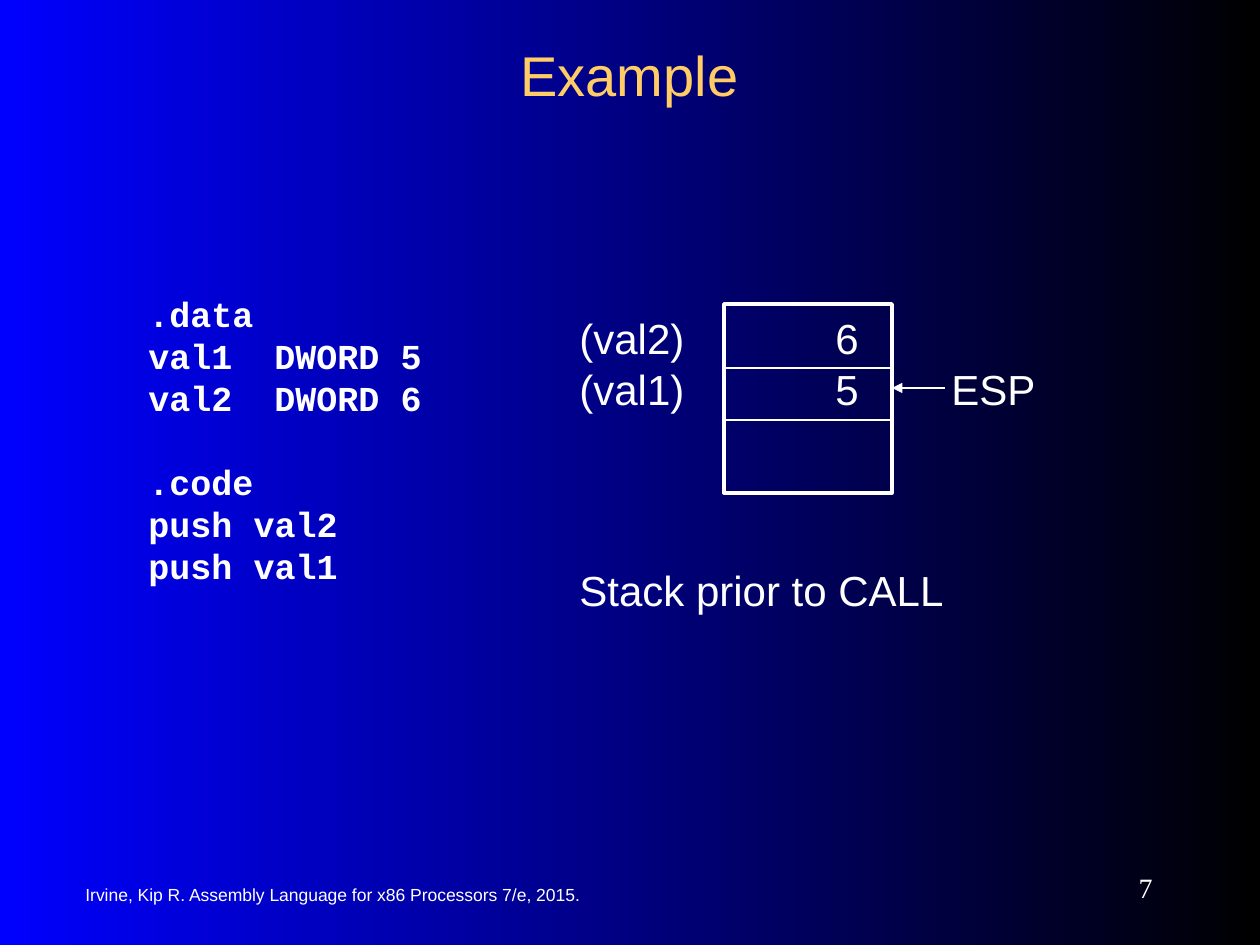
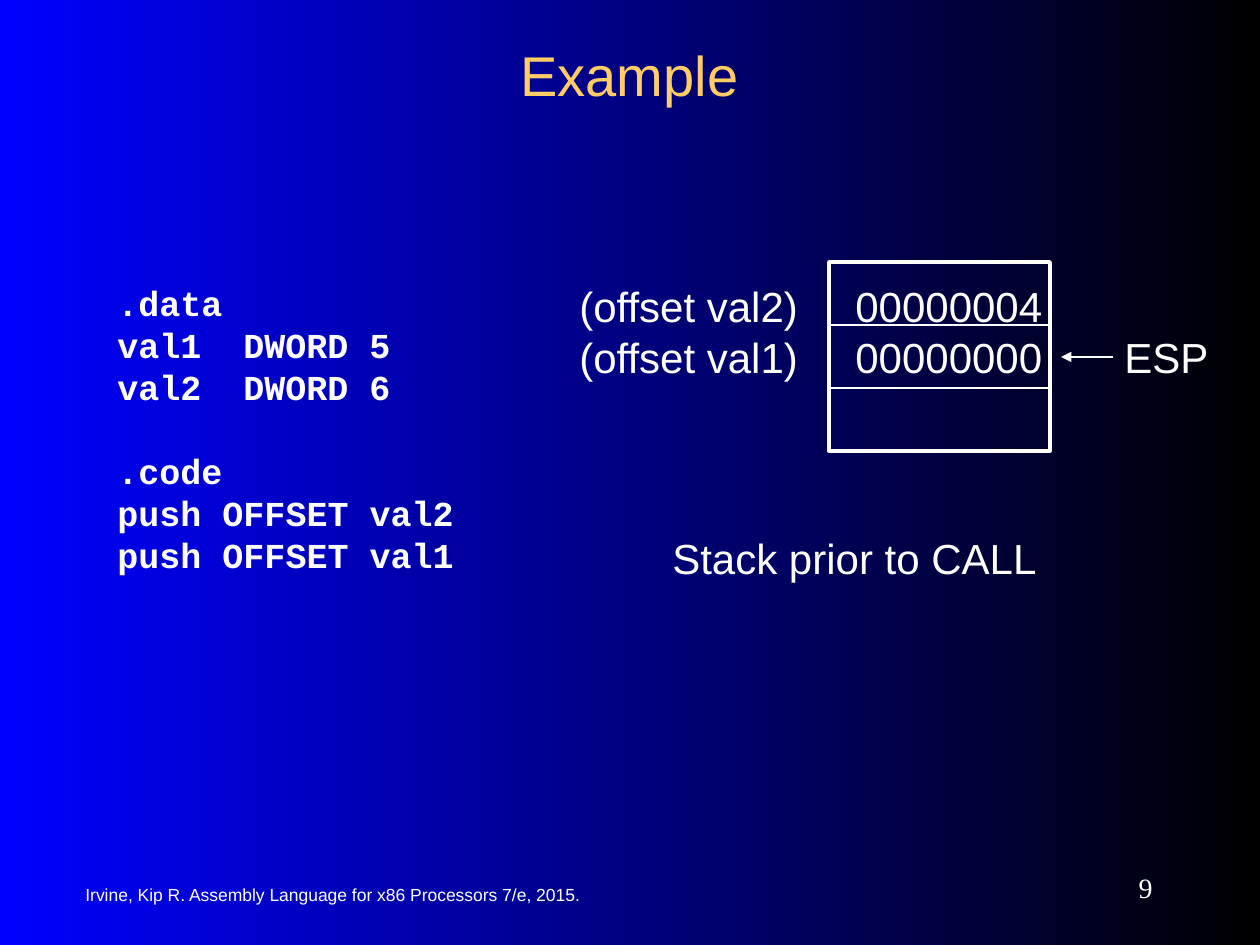
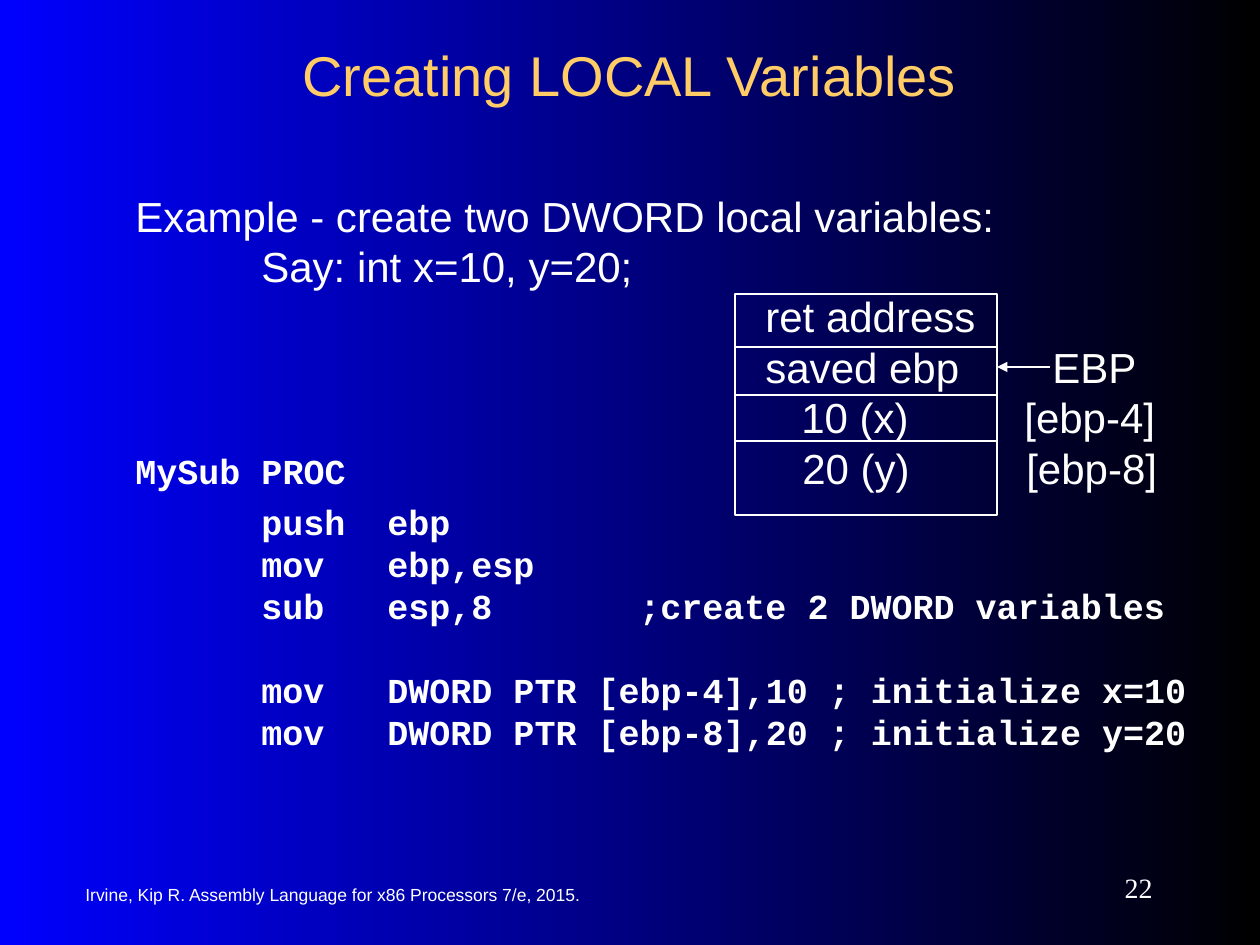
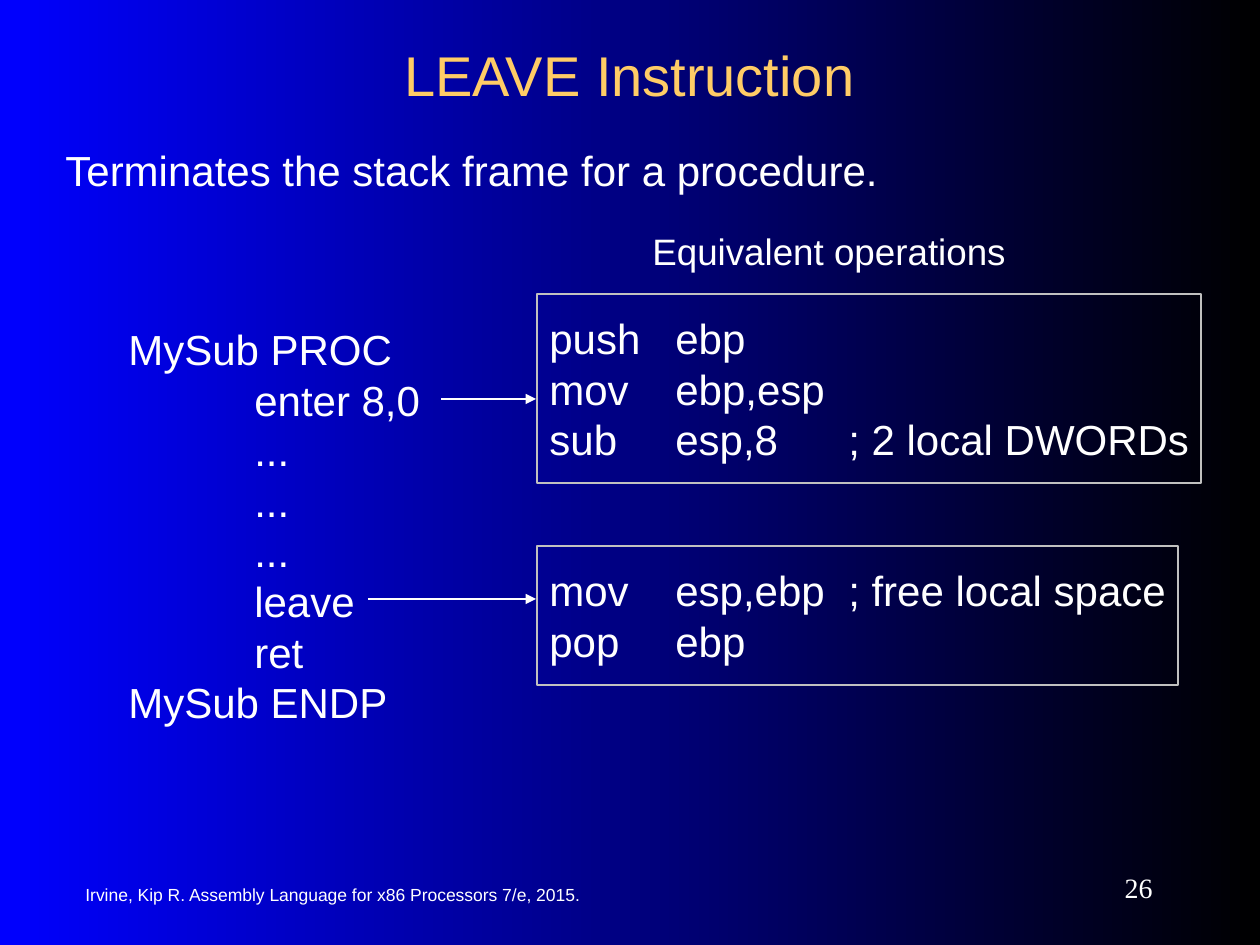
from dataclasses import dataclass

from lxml import etree
from pptx import Presentation, util as u
from pptx.dml.color import RGBColor
from pptx.enum import shapes, text
from pptx.oxml.ns import qn

BLUE = RGBColor(0x00, 0x00, 0xFF)
BLACK = RGBColor(0x00, 0x00, 0x00)
WHITE = RGBColor(0xFF, 0xFF, 0xFF)
SILVER = RGBColor(0xC0, 0xC0, 0xC0)
GOLD = RGBColor(0xFF, 0xCC, 0x66)

EMU_PER_PIXEL = 914400 / 126
LINE_PITCH = 1.2
INCH = 126
CODE_STOPS = (INCH, 2 * INCH, 4 * INCH)
FOOTER = "Irvine, Kip R. Assembly Language for x86 Processors 7/e, 2015."


@dataclass(frozen=True)
class Style:
    font: str
    size: int
    color: RGBColor = WHITE
    bold: bool = False


BODY = Style("Arial", 24)
CODE = Style("Courier New", 20, bold=True)
CAPTION = Style("Arial", 21)
TITLE = Style("Arial", 32, GOLD)
SOURCE = Style("Arial", 10)
NUMBER = Style("Times New Roman", 16)


@dataclass
class Line:
    words: str
    style: Style = BODY
    stops: tuple = ()
    before: float = 0
    rest: str = ""


def px(count):
    return u.Emu(round(count * EMU_PER_PIXEL))


def place(shape, left, top, width, height):
    shape.left, shape.top = px(left), px(top)
    shape.width, shape.height = px(width), px(height)


def format_span(span, style):
    span.font.name = style.font
    span.font.size = u.Pt(style.size)
    span.font.bold = style.bold
    span.font.color.rgb = style.color


def set_margins(frame, across, down):
    frame.margin_left = frame.margin_right = px(across)
    frame.margin_top = frame.margin_bottom = px(down)


def set_tab_stops(para, stops):
    if not stops:
        return
    tabs = etree.SubElement(para._p.get_or_add_pPr(), qn("a:tabLst"))
    for stop in stops:
        etree.SubElement(tabs, qn("a:tab"), pos=str(px(stop)), algn="l")


def write_lines(frame, lines):
    set_margins(frame, 12.6, 19)
    frame.vertical_anchor = text.MSO_ANCHOR.TOP
    for index, line in enumerate(lines):
        para = frame.add_paragraph() if index else frame.paragraphs[0]
        para.alignment = text.PP_ALIGN.LEFT
        tallest = BODY if line.rest else line.style
        para.line_spacing = u.Pt(tallest.size * LINE_PITCH)
        para.space_before = u.Pt(line.before)
        set_tab_stops(para, line.stops)
        para.text = line.words
        format_span(para.runs[0], line.style)
        if line.rest:
            span = para.add_run()
            span.text = line.rest
            format_span(span, BODY)


def add_lines(page, left, top, width, height, lines):
    box = page.shapes.add_textbox(px(left), px(top), px(width), px(height))
    box.text_frame.word_wrap = True
    write_lines(box.text_frame, lines)


def add_label(page, left, top, width, height, words, style, align):
    box = page.shapes.add_textbox(px(left), px(top), px(width), px(height))
    frame = box.text_frame
    frame.word_wrap = True
    frame.vertical_anchor = text.MSO_ANCHOR.MIDDLE
    frame.text = words
    frame.paragraphs[0].alignment = align
    format_span(frame.paragraphs[0].runs[0], style)


def add_frame(page, left, top, width, height, color=WHITE, weight=1):
    box = page.shapes.add_shape(
        shapes.MSO_SHAPE.RECTANGLE, px(left), px(top), px(width), px(height))
    box.shadow.inherit = False
    box.fill.background()
    box.line.color.rgb = color
    box.line.width = u.Pt(weight)
    return box


def add_rule(page, start, end, weight=0.75, arrow=False):
    rule = page.shapes.add_connector(
        shapes.MSO_CONNECTOR.STRAIGHT, *map(px, start + end))
    rule.line.color.rgb = WHITE
    rule.line.width = u.Pt(weight)
    properties = rule.element.spPr
    if arrow:
        etree.SubElement(properties.find(qn("a:ln")), qn("a:tailEnd"), type="triangle")
    etree.SubElement(properties, qn("a:effectLst"))


def add_stack(page, left, top, width, height, dividers, weight):
    add_frame(page, left, top, width, height, weight=weight)
    for y in dividers:
        add_rule(page, (left, y), (left + width, y))


def add_operations(page, top, width, height, lines):
    box = add_frame(page, 537, top, width, height, SILVER)
    box.text_frame.word_wrap = False
    write_lines(box.text_frame, lines)


def set_background(deck):
    fill = deck.slide_master.background.fill
    fill.gradient()
    fill.gradient_angle = 0
    for stop, color in zip(fill.gradient_stops, (BLUE, BLACK)):
        stop.color.rgb = color


def add_page(deck, title, number):
    page = deck.slides.add_slide(deck.slide_layouts[5])
    add_label(page, 73, 873, 577, 42, FOOTER, SOURCE, text.PP_ALIGN.LEFT)
    add_label(page, 1029, 861, 136, 53, str(number), NUMBER, text.PP_ALIGN.RIGHT)
    heading = page.shapes.title
    place(heading, 94, 32, 1071, 84)
    frame = heading.text_frame
    frame.text = title
    frame.vertical_anchor = text.MSO_ANCHOR.MIDDLE
    frame.paragraphs[0].alignment = text.PP_ALIGN.CENTER
    format_span(frame.paragraphs[0].runs[0], TITLE)
    return page


def push_code(operand):
    return [
        Line(".data", CODE),
        Line("val1\tDWORD 5", CODE, CODE_STOPS),
        Line("val2\tDWORD 6", CODE, CODE_STOPS),
        Line(".code", CODE, before=CODE.size * LINE_PITCH),
        Line(f"push {operand}val2", CODE),
        Line(f"push {operand}val1", CODE),
    ]


def stack_notes(upper, lower, caption, stops):
    return [
        Line(upper, stops=stops),
        Line(lower, stops=stops),
        Line(caption, stops=stops, before=3 * BODY.size * LINE_PITCH),
    ]


def build_values(deck):
    page = add_page(deck, "Example", 7)
    add_lines(page, 136, 273, 310, 374, push_code(""))
    add_stack(page, 724, 304, 168, 189, (368, 420), 2)
    add_lines(page, 567, 294, 500, 340, stack_notes(
        "(val2)\t6", "(val1)\t5\tESP", "Stack prior to CALL", (256, 372)))
    add_rule(page, (945, 388), (892, 388), arrow=True)


def build_offsets(deck):
    page = add_page(deck, "Example", 9)
    add_lines(page, 105, 262, 375, 374, push_code("OFFSET "))
    add_stack(page, 829, 262, 221, 189, (325, 388), 2)
    add_lines(page, 567, 262, 670, 340, stack_notes(
        "(offset val2)\t00000004", "(offset val1)\t00000000\tESP",
        "\tStack prior to CALL", (93, 276, 545)))
    add_rule(page, (1113, 357), (1061, 357), arrow=True)


def build_locals(deck):
    page = add_page(deck, "Creating LOCAL Variables", 22)
    taller = (BODY.size - CODE.size) * LINE_PITCH
    add_lines(page, 123, 171, 1095, 601, [
        Line("Example - create two DWORD local variables:"),
        Line("\tSay: int x=10, y=20;", stops=(INCH,)),
        Line("\tret address", stops=(630,)),
        Line("\tsaved ebp\tEBP", stops=(630, 917)),
        Line("\t10 (x)\t[ebp-4]", stops=(666, 889)),
        Line("MySub PROC", CODE, (667, 891), rest="\t20 (y)\t[ebp-8]"),
        Line("\tpush\tebp", CODE, CODE_STOPS, taller),
        Line("\tmov\tebp,esp", CODE, CODE_STOPS),
        Line("\tsub\tesp,8\t;create 2 DWORD variables", CODE, CODE_STOPS),
        Line("\tmov\tDWORD PTR [ebp-4],10 ; initialize x=10", CODE, CODE_STOPS,
             CODE.size * LINE_PITCH),
        Line("\tmov\tDWORD PTR [ebp-8],20 ; initialize y=20", CODE, CODE_STOPS),
    ])
    add_stack(page, 735, 294, 262, 221, (347, 395, 441), 1)
    add_rule(page, (1050, 367), (997, 367), arrow=True)


def build_leave(deck):
    page = add_page(deck, "LEAVE Instruction", 26)
    add_lines(page, 53, 126, 866, 88, [
        Line("Terminates the stack frame for a procedure.")])
    body = ("enter 8,0", "...", "...", "...", "leave", "ret")
    add_lines(page, 116, 305, 330, 441, [
        Line("MySub PROC"),
        *(Line("\t" + step, stops=(INCH,)) for step in body),
        Line("MySub ENDP"),
    ])
    stops = (INCH, 299)
    add_operations(page, 294, 664, 189, [
        Line("push\tebp", stops=stops),
        Line("mov\tebp,esp", stops=stops),
        Line("sub\tesp,8\t; 2 local DWORDs", stops=stops),
    ])
    add_operations(page, 546, 641, 139, [
        Line("mov\tesp,ebp\t; free local space", stops=stops),
        Line("pop\tebp", stops=stops),
    ])
    add_lines(page, 640, 210, 390, 82, [Line("Equivalent operations", CAPTION)])
    add_rule(page, (368, 599), (536, 599), 1, arrow=True)
    add_rule(page, (441, 399), (536, 399), 1, arrow=True)


def main():
    deck = Presentation()
    deck.slide_width, deck.slide_height = px(1260), px(945)
    set_background(deck)
    build_values(deck)
    build_offsets(deck)
    build_locals(deck)
    build_leave(deck)
    deck.save("out.pptx")


main()
